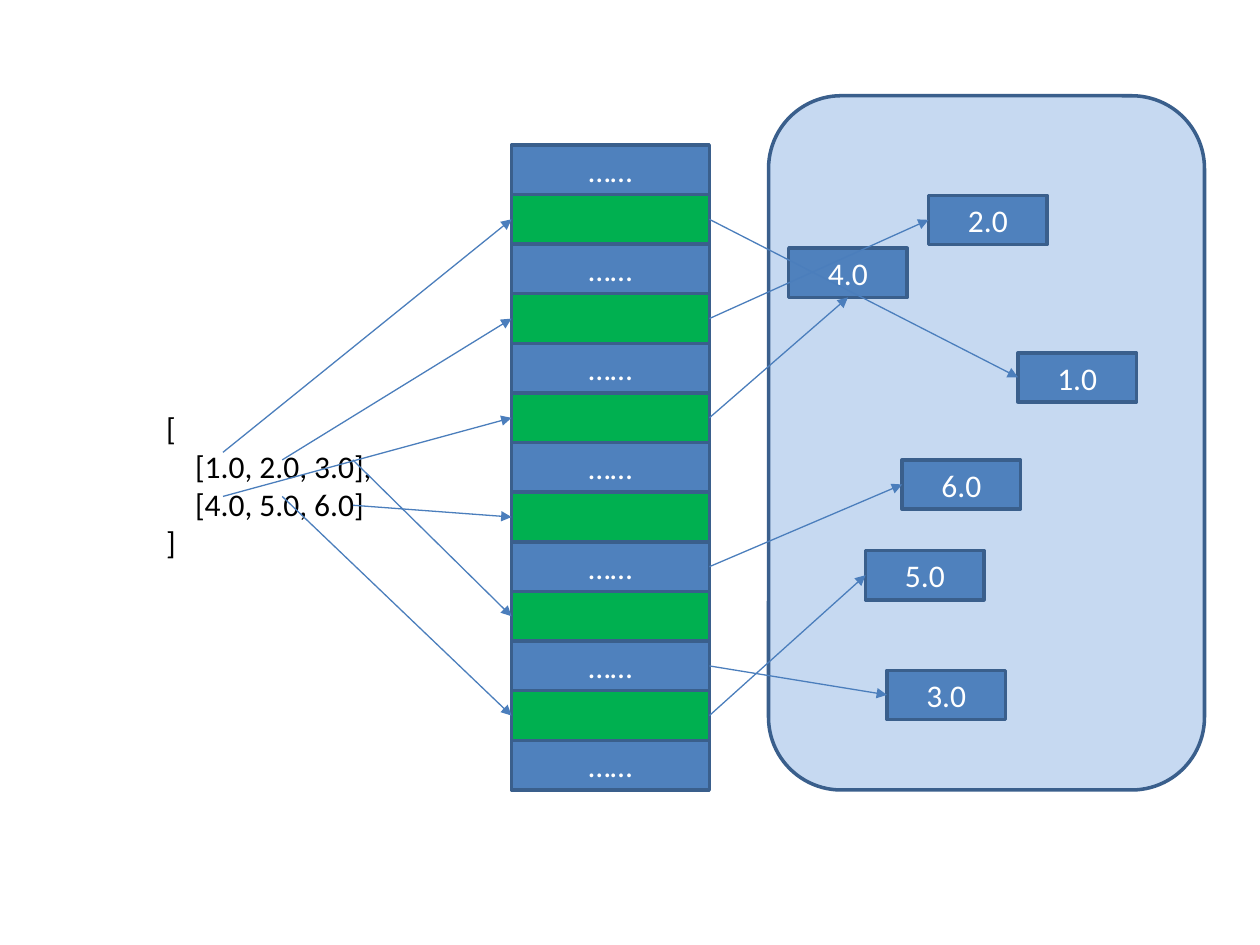
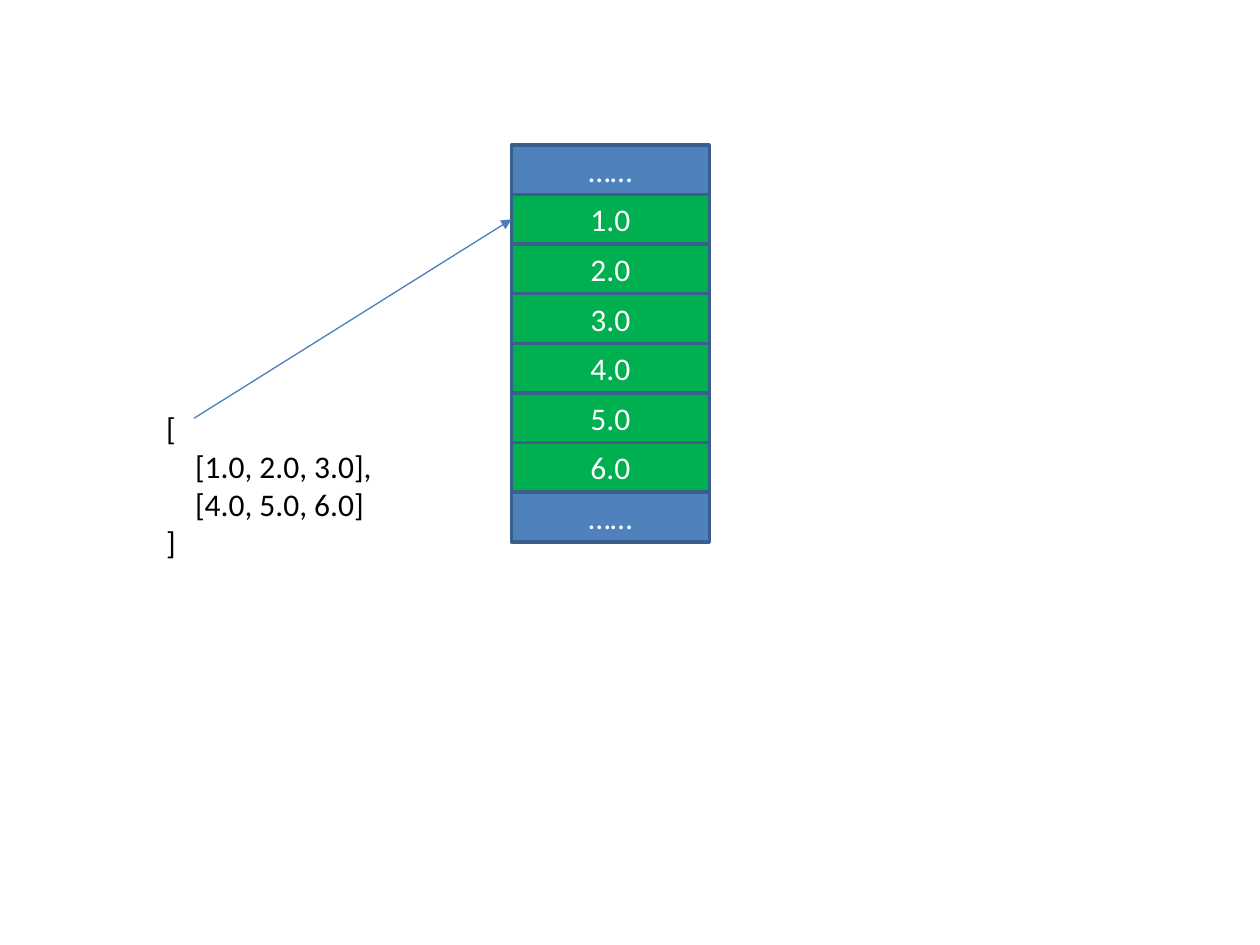
from lxml import etree
from pptx import Presentation, util as u
from pptx.dml.color import RGBColor
from pptx.enum import shapes as sh, text as tx
from pptx.oxml.ns import qn

HUES = {"blue": "4F81BD", "green": "00B050", "edge": "3A5F8C", "pale": "C6D9F1",
        "link": "4B7EBC", "white": "FFFFFF", "black": "000000"}
FONT, SIZE = "Calibri", 18
DOTS = "……"

# Nested list: indent level and text of each line
LIST = [(0, "["), (1, "[1.0, 2.0, 3.0],"), (1, "[4.0, 5.0, 6.0]"), (0, "]")]
LIST_BOX = (1.22, 3.2, 1.85, 1.31)
INDENT = 0.23

# Memory column: text and colour of each cell, from the top
SPARSE = [(DOTS, "blue"), ("", "green")] * 6 + [(DOTS, "blue")]
PACKED = ([(DOTS, "blue")] + [(f"{n}.0", "green") for n in range(1, 7)]
          + [(DOTS, "blue")])
LEFT, TOP, WIDE, HIGH = 4.06, 1.15, 1.57, 5.12 / 13

PANEL = (6.1, 0.76, 3.46, 5.51)
BOX = (0.94, 0.39)
SITE = {"left": 1, "bottom": 2, "right": 3}

# Value: place of its box, start in the list, cell in, cell out, side entered
VALUES = {
    "1.0": ((8.08, 2.8), (1.77, 3.59), 1, 1, "left"),
    "2.0": ((7.37, 1.55), (2.24, 3.65), 3, 3, "left"),
    "6.0": ((7.16, 3.65), (2.8, 4.01), 7, 8, "left"),
    "4.0": ((6.26, 1.97), (1.77, 3.94), 5, 5, "bottom"),
    "5.0": ((6.87, 4.37), (2.24, 3.94), 11, 11, "left"),
    "3.0": ((7.04, 5.32), (2.8, 3.65), 9, 10, "left"),
}
PACKED_FROM = (1.54, 3.32)


def hue(name):
    """Return a named colour."""
    return RGBColor.from_string(HUES[name])


def style(par, name):
    """Give the runs of a paragraph the shared font."""
    for run in par.runs:
        run.font.name, run.font.size = FONT, u.Pt(SIZE)
        run.font.color.rgb = hue(name)


def block(slide, area, fill, label="", kind=sh.MSO_SHAPE.RECTANGLE):
    """Draw an outlined shape with a centred label."""
    part = slide.shapes.add_shape(kind, *map(u.Inches, area))
    part.shadow.inherit = False
    part.fill.solid()
    part.fill.fore_color.rgb = hue(fill)
    part.line.color.rgb = hue("edge")
    part.line.width = u.Pt(2)
    if label:
        frame = part.text_frame
        frame.text = label
        frame.vertical_anchor = tx.MSO_ANCHOR.MIDDLE
        frame.paragraphs[0].alignment = tx.PP_ALIGN.CENTER
        style(frame.paragraphs[0], "white")
    return part


def arrow(slide, start, goal, side="left"):
    """Link a point, or the right of a shape, to a side of the goal shape."""
    point = isinstance(start, tuple)
    x, y = map(u.Inches, start) if point else (start.left, start.top)
    line = slide.shapes.add_connector(sh.MSO_CONNECTOR.STRAIGHT, x, y, x, y)
    if not point:
        line.begin_connect(start, SITE["right"])
    line.end_connect(goal, SITE[side])
    line.line.color.rgb = hue("link")
    line.line.width = u.Pt(0.75)
    etree.SubElement(line.line._get_or_add_ln(), qn("a:tailEnd"), type="triangle")
    etree.SubElement(line._element.spPr, qn("a:effectLst"))


def nested(slide):
    """Write the nested list."""
    frame = slide.shapes.add_textbox(*map(u.Inches, LIST_BOX)).text_frame
    frame.word_wrap = False
    frame.auto_size = tx.MSO_AUTO_SIZE.SHAPE_TO_FIT_TEXT
    for i, (level, words) in enumerate(LIST):
        par = frame.add_paragraph() if i else frame.paragraphs[0]
        par.text = words
        par._p.get_or_add_pPr().set("marL", str(u.Inches(level * INDENT)))
        style(par, "black")


def column(slide, cells):
    """Stack the memory cells and return them."""
    return [block(slide, (LEFT, TOP + i * HIGH, WIDE, HIGH), fill, label)
            for i, (label, fill) in enumerate(cells)]


def scattered(slide):
    """Show cells that point to values spread over memory."""
    nested(slide)
    cells = column(slide, SPARSE)
    block(slide, PANEL, "pale", kind=sh.MSO_SHAPE.ROUNDED_RECTANGLE)
    boxes = {name: block(slide, row[0] + BOX, "blue", name)
             for name, row in VALUES.items()}
    for name, (_, start, into, out, side) in VALUES.items():
        arrow(slide, start, cells[into])
        arrow(slide, cells[out], boxes[name], side)


def packed(slide):
    """Show values stored side by side in memory."""
    nested(slide)
    arrow(slide, PACKED_FROM, column(slide, PACKED)[1])


deck = Presentation()
deck.slide_width, deck.slide_height = u.Inches(10), u.Inches(7.5)
for draw in (scattered, packed):
    draw(deck.slides.add_slide(deck.slide_layouts[6]))
deck.save("out.pptx")
